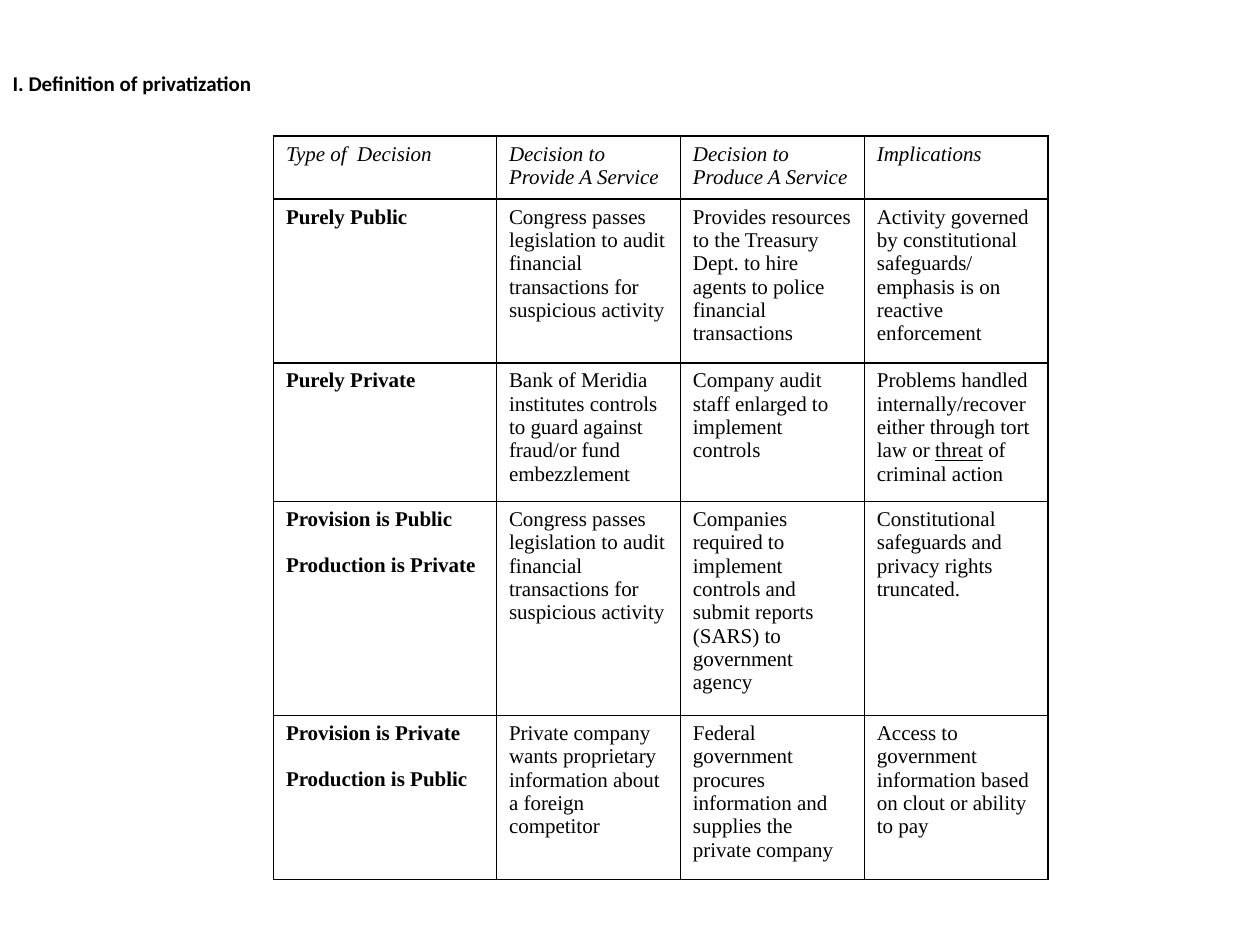
from lxml import etree
from pptx import Presentation
from pptx.dml.color import RGBColor
from pptx.enum.text import MSO_ANCHOR, MSO_AUTO_SIZE, PP_ALIGN
from pptx.oxml.ns import qn
from pptx.util import Inches, Pt

BLACK = RGBColor(0, 0, 0)
LEFT = PP_ALIGN.LEFT
TOP = MSO_ANCHOR.TOP
FIXED = MSO_AUTO_SIZE.NONE
TITLE_ONLY = 5
SIZE = Pt(12)
GAP = Pt(13)
RULE = Pt(1)
COLS = (1.77, 1.46, 1.46, 1.46)
ROWS = (0.5, 1.3, 1.1, 1.7, 1.3)
AUDIT = "Congress passes legislation to audit financial transactions for suspicious activity"
CELLS = (
    ("Type of  Decision", "Decision to Provide A Service",
     "Decision to Produce A Service", "Implications"),
    ("Purely Public", AUDIT,
     "Provides resources to the Treasury Dept. to hire agents to police financial transactions",
     "Activity governed by constitutional safeguards/ emphasis is on reactive enforcement"),
    ("Purely Private",
     "Bank of Meridia institutes controls to guard against fraud/or fund embezzlement",
     "Company audit staff enlarged to implement controls",
     "Problems handled internally/recover either through tort law or _threat_ of criminal action"),
    ("Provision is Public\nProduction is Private", AUDIT,
     "Companies required to implement controls and submit reports (SARS) to government agency",
     "Constitutional safeguards and privacy rights truncated."),
    ("Provision is Private\nProduction is Public",
     "Private company wants proprietary information about a foreign competitor",
     "Federal government procures information and supplies the private company",
     "Access to government information based on clout or ability to pay"),
)


def add_run(para, text, face, bold=False, italic=False, under=False):
    """Add one styled run to a paragraph."""
    run = para.add_run()
    run.text = text
    font = run.font
    font.name, font.size = face, SIZE
    font.bold, font.italic, font.underline = bold, italic, under
    font.color.rgb = BLACK


def set_title(slide, box):
    """Place the heading in the title placeholder."""
    title = slide.shapes.title
    title.left, title.top, title.width, title.height = map(Inches, box)
    frame = title.text_frame
    frame.auto_size = FIXED
    frame.word_wrap = True
    frame.vertical_anchor = TOP
    para = frame.paragraphs[0]
    para.alignment = LEFT
    add_run(para, "I. Definition of privatization", "Calibri", bold=True)


def rule_cell(cell):
    """Draw black rules on all four sides of a cell."""
    props = cell._tc.get_or_add_tcPr()
    for side in ("lnL", "lnR", "lnT", "lnB"):
        line = etree.SubElement(props, qn(f"a:{side}"), w=str(RULE))
        fill = etree.SubElement(line, qn("a:solidFill"))
        etree.SubElement(fill, qn("a:srgbClr"), val=str(BLACK))


def fill_cell(cell, text, bold, italic):
    """Write a cell, with underscores around underlined words."""
    rule_cell(cell)
    cell.fill.background()
    frame = cell.text_frame
    for i, line in enumerate(text.split("\n")):
        para = frame.add_paragraph() if i else frame.paragraphs[0]
        para.space_before = GAP if i else Pt(0)
        for j, part in enumerate(line.split("_")):
            add_run(para, part, "Times New Roman", bold, italic, j % 2 == 1)


def add_grid(slide, box):
    """Add the table of decisions."""
    table = slide.shapes.add_table(len(ROWS), len(COLS), *map(Inches, box)).table
    table.first_row = table.horz_banding = False
    for col, width in zip(table.columns, COLS):
        col.width = Inches(width)
    for row, height in zip(table.rows, ROWS):
        row.height = Inches(height)
    for r, texts in enumerate(CELLS):
        for c, text in enumerate(texts):
            fill_cell(table.cell(r, c), text, bold=r > 0 and c == 0, italic=r == 0)


def main():
    """Build and save the slide."""
    deck = Presentation()
    deck.slide_width, deck.slide_height = Inches(10), Inches(7.5)
    slide = deck.slides.add_slide(deck.slide_layouts[TITLE_ONLY])
    set_title(slide, (0, 0.51, 2.35, 0.6))
    add_grid(slide, (2.17, 1.08, sum(COLS), sum(ROWS)))
    deck.save("out.pptx")


if __name__ == "__main__":
    main()
